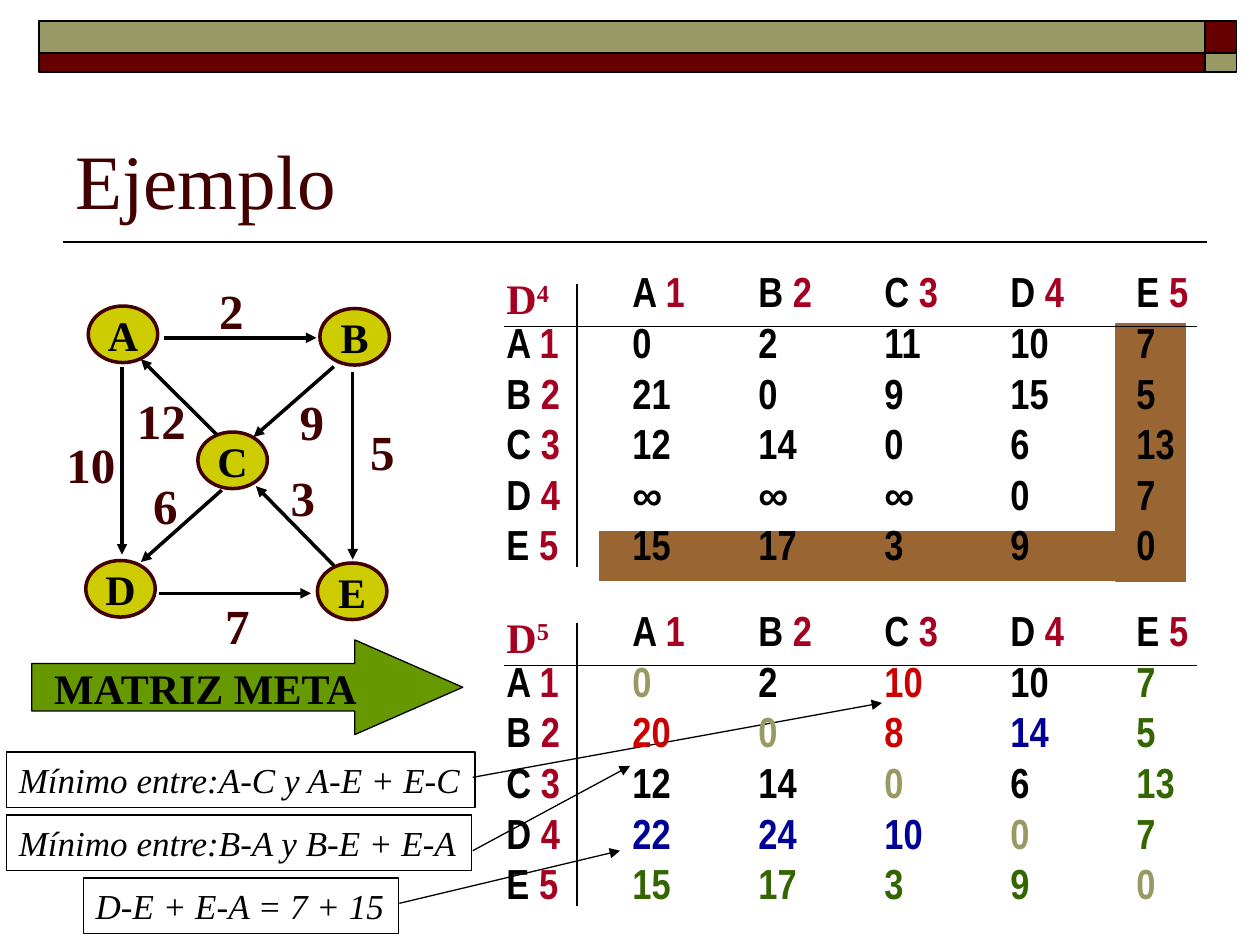
from typing import NamedTuple

from lxml.etree import SubElement
from pptx import Presentation
from pptx.dml.color import RGBColor
from pptx.enum.shapes import MSO_CONNECTOR as Connector, MSO_SHAPE as Preset
from pptx.enum.text import MSO_ANCHOR as Anchor, PP_ALIGN as Align
from pptx.oxml.ns import qn
from pptx.util import Cm, Pt

BLACK = RGBColor(0x00, 0x00, 0x00)
MAROON = RGBColor(0x66, 0x00, 0x00)
DARK_MAROON = RGBColor(0x42, 0x00, 0x00)
OLIVE = RGBColor(0x99, 0x99, 0x66)
BROWN = RGBColor(0x99, 0x66, 0x33)
YELLOW = RGBColor(0xCC, 0xCC, 0x00)
LIME = RGBColor(0x66, 0x99, 0x00)
CRIMSON = RGBColor(0xA5, 0x00, 0x21)
RED = RGBColor(0xCC, 0x00, 0x00)
GREEN = RGBColor(0x33, 0x66, 0x00)
BLUE = RGBColor(0x00, 0x00, 0x99)
VALUE_COLORS = {"k": BLACK, "o": OLIVE, "r": RED, "g": GREEN, "b": BLUE}

SERIF, NARROW = "Times New Roman", "Arial Narrow"
NO_GRID_STYLE = "{2D5ABB26-0587-4C30-8999-92F81FD0307C}"
TITLE = dict(name=SERIF, size=Pt(44))
NOTE = dict(name=SERIF, size=Pt(20), italic=True)
STRONG = dict(name=SERIF, size=Pt(24), bold=True)
WEIGHT = dict(name=SERIF, size=Pt(28), bold=True)
CELL = dict(name=NARROW, size=Pt(24), bold=True)
NODE_NAMES = "ABCDE"


class Area(NamedTuple):
    left: float
    top: float
    width: float
    height: float


class Point(NamedTuple):
    x: float
    y: float


class Edge(NamedTuple):
    start: Point
    end: Point
    weight: str
    label: Point


class Note(NamedTuple):
    text: str
    area: Area
    start: Point
    end: Point


class Matrix(NamedTuple):
    order: str
    top: float
    values: list[str]
    colors: list[str]


BARS = [
    (Area(24.29, 0.43, 0.64, 0.64), MAROON),
    (Area(0.79, 0.43, 23.5, 0.64), OLIVE),
    (Area(0.79, 1.07, 23.5, 0.38), MAROON),
    (Area(24.29, 1.07, 0.64, 0.38), OLIVE),
]
HIGHLIGHTS = [Area(12.09, 10.72, 11.81, 0.99), Area(22.5, 6.53, 1.4, 5.2)]
NODES = [Point(1.78, 6.17), Point(6.45, 6.22), Point(3.99, 8.71),
         Point(1.73, 11.3), Point(6.4, 11.35)]
EDGES = [
    Edge(Point(3.3, 6.81), Point(6.38, 6.81), "2", Point(4.17, 5.54)),
    Edge(Point(3.2, 11.96), Point(6.27, 11.96), "7", Point(4.29, 11.89)),
    Edge(Point(7.11, 7.49), Point(7.11, 11.28), "5", Point(7.21, 8.38)),
    Edge(Point(2.46, 7.39), Point(2.46, 11.18), "10", Point(1.09, 8.64)),
    Edge(Point(4.47, 9.88), Point(2.84, 11.33), "6", Point(2.84, 9.47)),
    Edge(Point(6.73, 7.39), Point(5.11, 8.81), "9", Point(5.79, 7.77)),
    Edge(Point(4.37, 8.76), Point(2.84, 7.24), "12", Point(2.51, 7.75)),
    Edge(Point(6.73, 11.4), Point(5.16, 9.8), "3", Point(5.61, 9.3)),
]
NOTES = [
    Note("Mínimo entre:A-C y A-E + E-C", Area(0.13, 15.16, 9.45, 1.12),
         Point(9.53, 15.67), Point(17.78, 14.17)),
    Note("Mínimo entre:B-A y B-E + E-A", Area(0.13, 16.43, 9.37, 1.12),
         Point(9.53, 17.15), Point(12.7, 15.44)),
    Note("D-E + E-A = 7 + 15", Area(1.68, 17.7, 6.35, 1.12),
         Point(8.05, 18.21), Point(12.5, 17.15)),
]
MATRICES = [
    Matrix("4", 5.59,
           ["0 2 11 10 7", "21 0 9 15 5", "12 14 0 6 13", "∞ ∞ ∞ 0 7", "15 17 3 9 0"],
           ["kkkkk"] * 5),
    Matrix("5", 12.42,
           ["0 2 10 10 7", "20 0 8 14 5", "12 14 0 6 13", "22 24 10 0 7", "15 17 3 9 0"],
           ["okrkg", "rorbg", "kkokg", "bbbog", "ggggo"]),
]


def add_span(para, text: str, color: RGBColor, style: dict):
    span = para.add_run()
    span.text = text
    for name, value in style.items():
        setattr(span.font, name, value)
    span.font.color.rgb = color
    return span


def write(shape, text: str, color: RGBColor, style: dict, **frame_format) -> None:
    frame = shape.text_frame
    for name, value in (dict(word_wrap=False) | frame_format).items():
        setattr(frame, name, value)
    add_span(frame.paragraphs[0], text, color, style)


def add_text(page, area: Area, text: str, color: RGBColor, style: dict, **frame_format) -> None:
    box = page.shapes.add_textbox(*map(Cm, area))
    write(box, text, color, style, **frame_format)


def add_preset(page, preset, area: Area, fill=None, line=BLACK, width: float = 0.75):
    shape = page.shapes.add_shape(preset, *map(Cm, area))
    shape.shadow.inherit = False
    if fill is None:
        shape.fill.background()
    else:
        shape.fill.solid()
        shape.fill.fore_color.rgb = fill
    shape.line.color.rgb = line
    shape.line.width = Pt(width)
    return shape


def add_line(page, start: Point, end: Point, width: float = 0.75, arrow: bool = False) -> None:
    line = page.shapes.add_connector(Connector.STRAIGHT, *map(Cm, (*start, *end)))
    line.line.color.rgb = BLACK
    line.line.width = Pt(width)
    if arrow:
        SubElement(line.line._get_or_add_ln(), qn("a:tailEnd"), type="triangle")
    SubElement(line._element.spPr, qn("a:effectLst"))


def add_matrix(page, matrix: Matrix) -> None:
    """Draw a distance matrix with numbered headings and its two rules."""
    size = len(NODE_NAMES) + 1
    table = page.shapes.add_table(size, size, Cm(10.21), Cm(matrix.top),
                                  Cm(14.0), Cm(1.02 * size)).table
    table.first_row = table.horz_banding = False
    table._tbl.tblPr.find(qn("a:tableStyleId")).text = NO_GRID_STYLE
    for row in table.rows:
        row.height = Cm(1.02)
    for number, column in enumerate(table.columns, 1):
        column.width = Cm(2.54 if number < size else 1.3)
    for cell in table.iter_cells():
        cell.fill.background()
        cell.margin_left = cell.margin_right = cell.margin_top = cell.margin_bottom = 0

    corner = table.cell(0, 0).text_frame.paragraphs[0]
    add_span(corner, "D", CRIMSON, STRONG)
    order = add_span(corner, matrix.order, CRIMSON, STRONG)
    order.font._element.set("baseline", "30000")
    for number, name in enumerate(NODE_NAMES, 1):
        for heading in (table.cell(0, number), table.cell(number, 0)):
            para = heading.text_frame.paragraphs[0]
            add_span(para, f"{name} ", BLACK, CELL)
            add_span(para, str(number), CRIMSON, CELL)
    for row, (values, colors) in enumerate(zip(matrix.values, matrix.colors), 1):
        for column, (value, color) in enumerate(zip(values.split(), colors), 1):
            para = table.cell(row, column).text_frame.paragraphs[0]
            add_span(para, value, VALUE_COLORS[color], CELL)

    add_line(page, Point(10.16, matrix.top + 0.99), Point(24.13, matrix.top + 0.99))
    add_line(page, Point(11.63, matrix.top + 0.14), Point(11.63, matrix.top + 5.85))


def main() -> None:
    deck = Presentation()
    deck.slide_width, deck.slide_height = Cm(25.4), Cm(19.05)
    page = deck.slides.add_slide(deck.slide_layouts[6])

    add_line(page, Point(1.27, 4.88), Point(24.33, 4.88), 1)
    for area, color in BARS:
        add_preset(page, Preset.RECTANGLE, area, color, width=1)
    add_text(page, Area(1.27, 1.47, 22.86, 3.18), "Ejemplo", DARK_MAROON, TITLE,
             word_wrap=True, vertical_anchor=Anchor.BOTTOM)

    for area in HIGHLIGHTS:
        add_preset(page, Preset.RECTANGLE, area, BROWN, BROWN)
    for note in NOTES:
        box = add_preset(page, Preset.RECTANGLE, note.area)
        write(box, note.text, BLACK, NOTE, vertical_anchor=Anchor.TOP)
        box.text_frame.paragraphs[0].alignment = Align.LEFT
        add_line(page, note.start, note.end, arrow=True)
    for matrix in MATRICES:
        add_matrix(page, matrix)

    arrow = add_preset(page, Preset.RIGHT_ARROW, Area(0.64, 12.9, 8.69, 1.91), LIME)
    arrow.adjustments[0], arrow.adjustments[1] = 0.5, 1.14
    add_text(page, Area(0.84, 13.23, 6.76, 1.27), "MATRIZ META", BLACK, STRONG)

    for name, corner in zip(NODE_NAMES, NODES):
        node = add_preset(page, Preset.OVAL, Area(*corner, 1.4, 1.14), YELLOW, DARK_MAROON, 2)
        write(node, name, BLACK, STRONG, vertical_anchor=Anchor.MIDDLE)
        node.text_frame.paragraphs[0].alignment = Align.CENTER
    for edge in EDGES:
        add_line(page, edge.start, edge.end, 2, arrow=True)
        width = 0.49 + 0.5 * len(edge.weight)
        add_text(page, Area(*edge.label, width, 1.42), edge.weight, DARK_MAROON, WEIGHT)

    deck.save("out.pptx")


if __name__ == "__main__":
    main()
